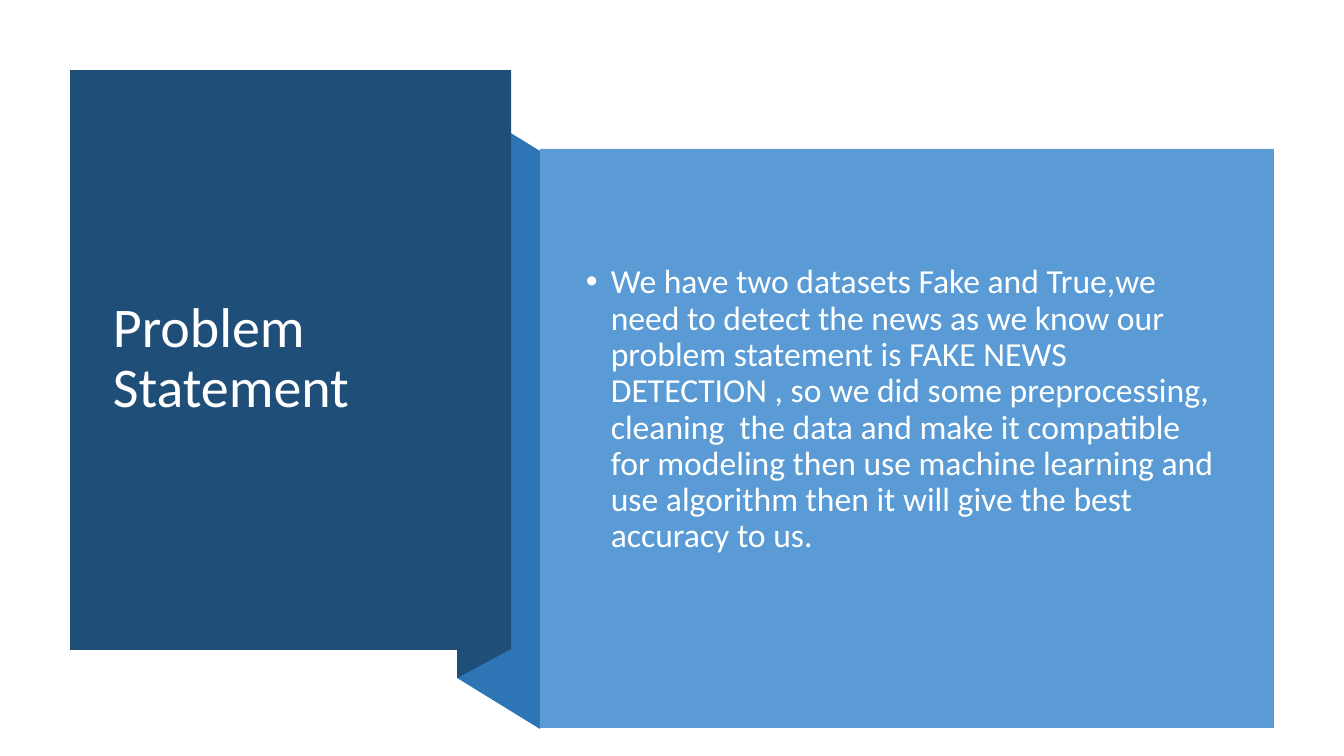
import dataclasses

import pptx
import pptx.dml.color
import pptx.enum.shapes
import pptx.enum.text
import pptx.util
from lxml import etree

EMU_PER_PIXEL = 914400 / 100.8
SLIDE_WIDTH, SLIDE_HEIGHT = 1344, 756


@dataclasses.dataclass(frozen=True)
class Theme:
    """Colours, typeface and type sizes of the slide."""
    dark: str = "1F4E79"
    middle: str = "2E75B6"
    light: str = "5B9BD5"
    title_text: str = "FFFFFF"
    body_text: str = "FEFFFF"
    typeface: str = "Calibri"
    title_size: int = 40
    body_size: int = 24
    line_spacing: float = 0.9
    bullet_indent: int = 25


def emu(pixels):
    """Turn pixels into EMU."""
    return pptx.util.Emu(round(pixels * EMU_PER_PIXEL))


def set_values(target, values):
    """Set each attribute of the target from a dict."""
    for name, value in values.items():
        setattr(target, name, value)


class SlideBuilder:
    """Holds the theme and the current slide."""

    def __init__(self, theme, slide):
        """Keep the theme and the slide to draw on."""
        self.theme = theme
        self.slide = slide

    def paint(self, shape, colour):
        """Give a shape a plain fill without line or shadow."""
        shape.shadow.inherit = False
        shape.fill.solid()
        shape.fill.fore_color.rgb = pptx.dml.color.RGBColor.from_string(colour)
        shape.line.fill.background()

    def panel(self, box, colour):
        """Draw a rectangle given as left, top, width, height."""
        kind = pptx.enum.shapes.MSO_SHAPE.RECTANGLE
        shape = self.slide.shapes.add_shape(kind, *map(emu, box))
        self.paint(shape, colour)

    def fold(self, points, colour):
        """Draw a closed outline through the points."""
        builder = self.slide.shapes.build_freeform(*points[0], scale=EMU_PER_PIXEL)
        builder.add_line_segments(points[1:], close=True)
        self.paint(builder.convert_to_shape(), colour)

    def text(self, box, wording, size, colour, bullet=False):
        """Write one vertically centred paragraph, with a bullet if asked."""
        frame = self.slide.shapes.add_textbox(*map(emu, box)).text_frame
        set_values(frame, {
            "word_wrap": True,
            "vertical_anchor": pptx.enum.text.MSO_ANCHOR.MIDDLE,
        })
        paragraph = frame.paragraphs[0]
        paragraph.line_spacing = self.theme.line_spacing
        run = paragraph.add_run()
        run.text = wording
        set_values(run.font, {"name": self.theme.typeface, "size": pptx.util.Pt(size)})
        run.font.color.rgb = pptx.dml.color.RGBColor.from_string(colour)
        if bullet:
            self.add_bullet(paragraph)

    def add_bullet(self, paragraph):
        """Give a paragraph a round bullet with a hanging indent."""
        properties = paragraph._p.get_or_add_pPr()
        indent = emu(self.theme.bullet_indent)
        properties.set("marL", str(indent))
        properties.set("indent", str(-indent))
        namespace = properties.nsmap["a"]
        for tag, name, value in (("buFont", "typeface", "Arial"), ("buChar", "char", "•")):
            etree.SubElement(properties, f"{{{namespace}}}{tag}").set(name, value)


def main():
    """Build the slide and save it."""
    presentation = pptx.Presentation()
    set_values(presentation, {
        "slide_width": emu(SLIDE_WIDTH),
        "slide_height": emu(SLIDE_HEIGHT),
    })
    theme = Theme()
    builder = SlideBuilder(theme, presentation.slides.add_slide(presentation.slide_layouts[6]))

    builder.fold([(540, 729), (457, 678), (457, 100), (540, 151)], theme.middle)
    builder.fold([(511, 649), (457, 678), (457, 99), (511, 70)], theme.dark)
    builder.panel((70, 70, 441, 580), theme.dark)
    builder.text((103, 108, 374, 503), "Problem Statement", theme.title_size, theme.title_text)
    builder.panel((540, 149, 734, 579), theme.light)
    builder.text(
        (576, 171, 656, 478),
        "We have two datasets Fake and True,we need to detect the news as we know our "
        "problem statement is FAKE NEWS DETECTION , so we did some preprocessing, "
        "cleaning  the data and make it compatible for modeling then use machine learning "
        "and use algorithm then it will give the best accuracy to us.",
        theme.body_size, theme.body_text, bullet=True)
    presentation.save("out.pptx")


main()
